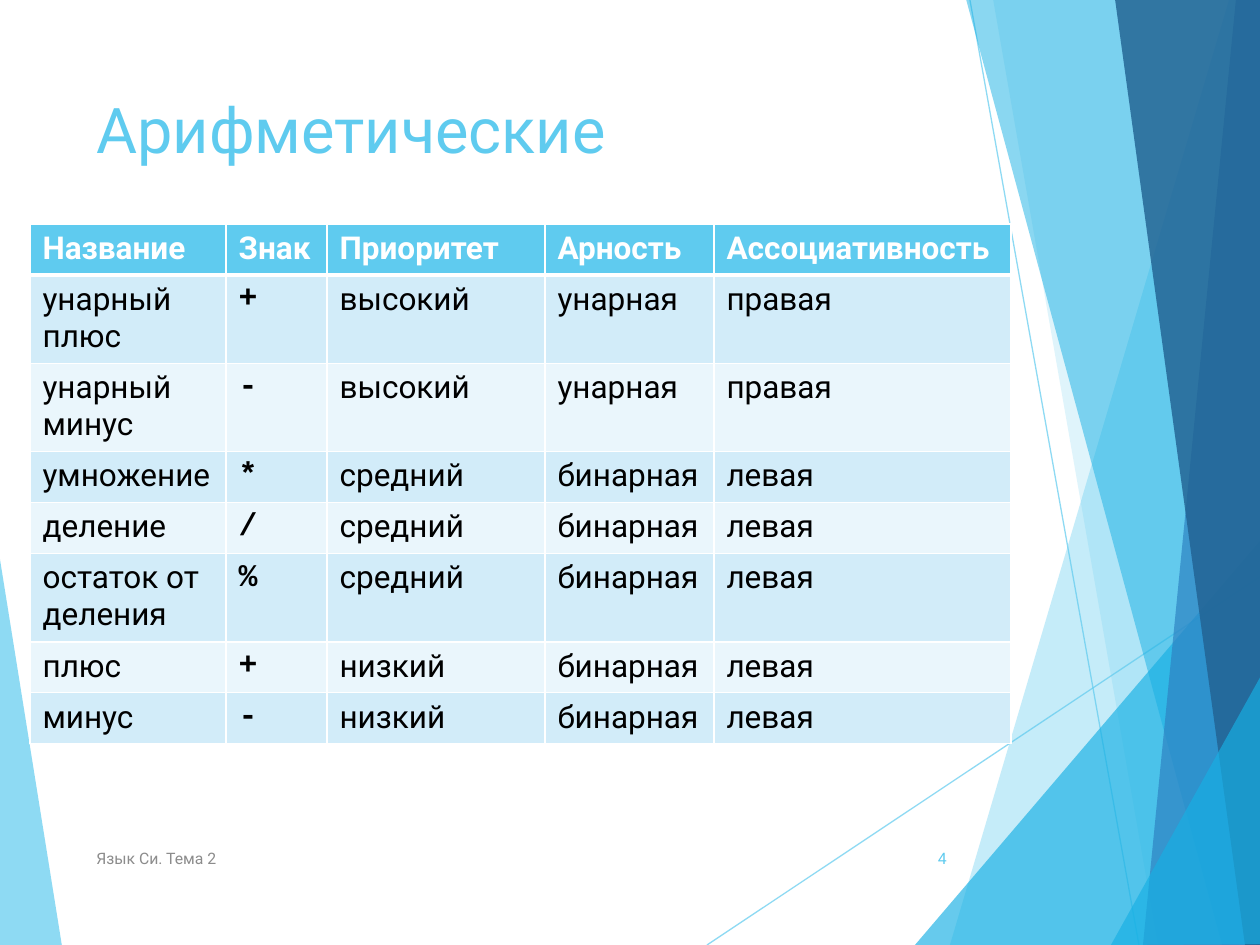
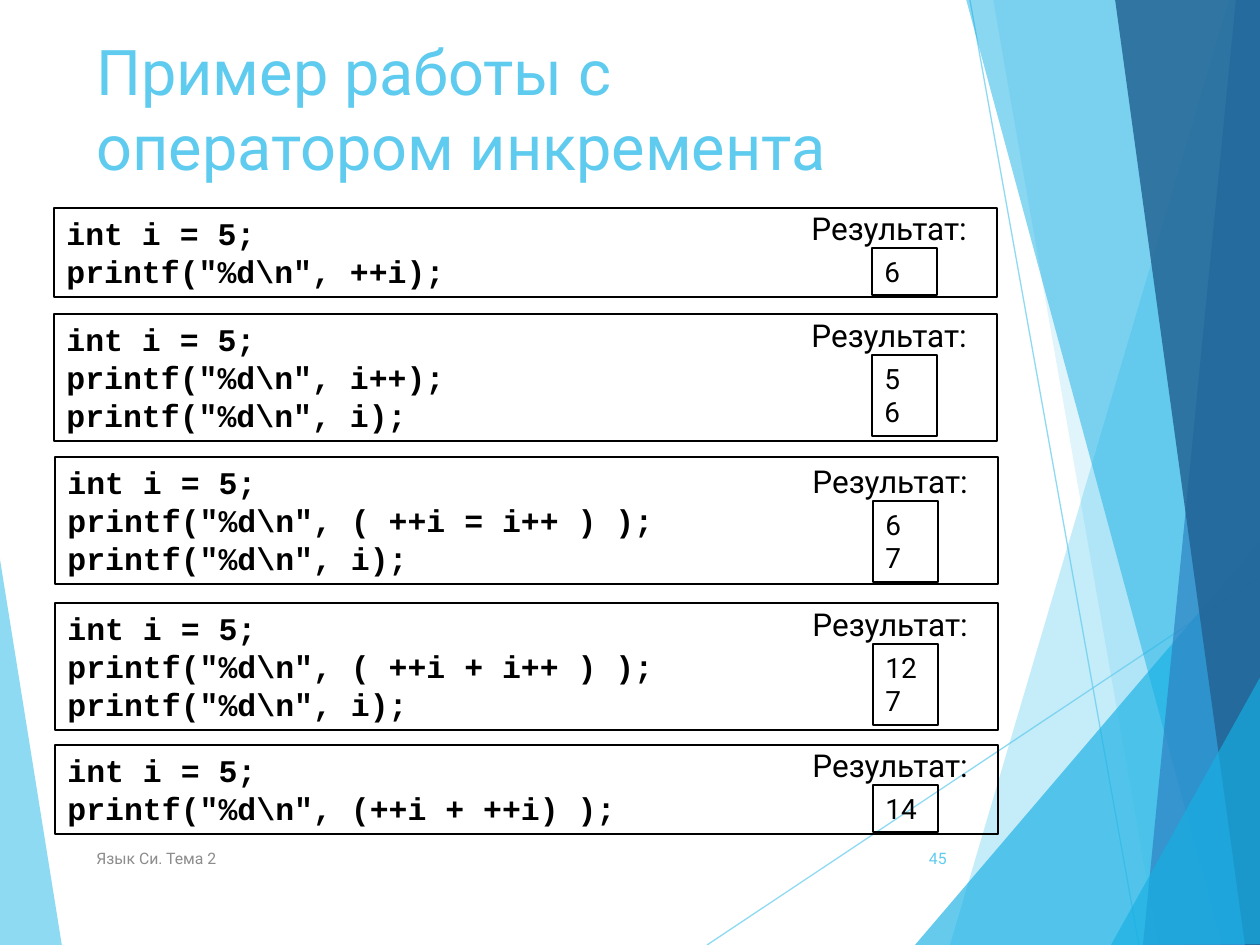
"""Build two slides on C operators: an operator table and increment examples."""
from lxml.etree import SubElement
from pptx import Presentation
from pptx.dml.color import RGBColor
from pptx.enum.shapes import MSO_CONNECTOR
from pptx.enum.text import MSO_ANCHOR, PP_ALIGN
from pptx.oxml.ns import qn
from pptx.util import Emu, Pt

LEFT, RIGHT = PP_ALIGN.LEFT, PP_ALIGN.RIGHT
TOP, MIDDLE = MSO_ANCHOR.TOP, MSO_ANCHOR.MIDDLE
STRAIGHT = MSO_CONNECTOR.STRAIGHT
SCALE = 914400 / 126
SANS, MONO = "Roboto", "Courier New"
SKY, CYAN, BLUE, NAVY = "5FCBEF", "17B0E4", "2E83C3", "226292"
BLACK, WHITE, GRAY = "000000", "FFFFFF", "8C8C8C"
BANDS = ["EAF6FC", "D2ECF9"]
hue = RGBColor.from_string

RAYS = [(707, 945, 1261, 576), (970, 0, 1139, 945)]
SHARDS = [
    (SKY, 70, [(-1, 553), (62, 946), (-1, 945)]),
    (SKY, 36, [(1229, 0), (950, 945), (1262, 946), (1262, 0)]),
    (SKY, 20, [(993, -1), (1158, 945), (1261, 945), (1261, -1)]),
    (CYAN, 66, [(915, 945), (1260, 541), (1261, 945)]),
    (CYAN, 50, [(966, -1), (1222, 945), (1261, 944), (1261, -1)]),
    (BLUE, 70, [(1236, -1), (1143, 945), (1261, 945), (1260, -1)]),
    (NAVY, 82, [(1115, -1), (1245, 945), (1262, 945), (1260, -1)]),
    (CYAN, 66, [(1111, 945), (1262, 674), (1262, 944)]),
]
PAGES = [
    ("Арифметические", 84, "4"),
    ("Пример работы с оператором инкремента", 26, "45"),
]
HEAD = ["Название", "Знак", "Приоритет", "Арность", "Ассоциативность"]
ROWS = [
    HEAD,
    ["унарный плюс", "+", "высокий", "унарная", "правая"],
    ["унарный минус", "-", "высокий", "унарная", "правая"],
    ["умножение", "*", "средний", "бинарная", "левая"],
    ["деление", "/", "средний", "бинарная", "левая"],
    ["остаток от деления", "%", "средний", "бинарная", "левая"],
    ["плюс", "+", "низкий", "бинарная", "левая"],
    ["минус", "-", "низкий", "бинарная", "левая"],
]
WIDTHS = [196, 101, 218, 169, 297]
START = "int i = 5;"
SHOW = 'printf("%d\\n", i);'
CASES = [
    (54, 208, 40, [START, 'printf("%d\\n", ++i);'], ["6"]),
    (54, 314, 41, [START, 'printf("%d\\n", i++);', SHOW], ["5", "6"]),
    (55, 457, 44, [START, 'printf("%d\\n", ( ++i = i++ ) );', SHOW], ["6", "7"]),
    (55, 603, 41, [START, 'printf("%d\\n", ( ++i + i++ ) );', SHOW], ["12", "7"]),
    (55, 745, 40, [START, 'printf("%d\\n", (++i + ++i) );'], ["14"]),
]


def fade(part, alpha):
    for tone in part.iter(qn("a:srgbClr")):
        SubElement(tone, qn("a:alpha"), val=str(alpha * 1000))


def write(slide, box, lines, size, color, font=SANS, bold=False,
          align=LEFT, anchor=TOP, edge=False):
    shape = slide.shapes.add_textbox(*[Emu(round(v * SCALE)) for v in box])
    if edge:
        shape.line.color.rgb = hue(BLACK)
        shape.line.width = Pt(0.75)
    frame = shape.text_frame
    frame.word_wrap = True
    frame.vertical_anchor = anchor
    for i, line in enumerate(lines):
        para = frame.add_paragraph() if i else frame.paragraphs[0]
        para.alignment = align
        run = para.add_run()
        run.text = line
        run.font.name = font
        run.font.size = Pt(size)
        run.font.bold = bold
        run.font.color.rgb = hue(color)


deck = Presentation()
deck.slide_width = Emu(round(1260 * SCALE))
deck.slide_height = Emu(round(945 * SCALE))

slides = []
for title, top, page in PAGES:
    slide = deck.slides.add_slide(deck.slide_layouts[6])
    slides.append(slide)
    for ends in RAYS:
        ray = slide.shapes.add_connector(
            STRAIGHT, *[Emu(round(v * SCALE)) for v in ends])
        ray.line.color.rgb = hue(SKY)
        ray.line.width = Pt(0.75)
        fade(ray._element.spPr, 70)
        SubElement(ray._element.spPr, qn("a:effectLst"))
    for color, alpha, points in SHARDS:
        path = slide.shapes.build_freeform(*points[0], scale=SCALE)
        path.add_line_segments(points[1:], close=True)
        shard = path.convert_to_shape()
        shard.fill.solid()
        shard.fill.fore_color.rgb = hue(color)
        shard.line.fill.background()
        shard.shadow.inherit = False
        fade(shard._element.spPr, alpha)
    write(slide, (84, top, 874, 181), [title], 36, SKY)
    write(slide, (84, 833, 638, 50), ["Язык Си. Тема 2"], 9, GRAY, anchor=MIDDLE)
    write(slide, (888, 833, 71, 50), [page], 9, SKY, align=RIGHT, anchor=MIDDLE)

box = (30, 224, sum(WIDTHS), 51 * len(ROWS))
grid = slides[0].shapes.add_table(
    len(ROWS), len(HEAD), *[Emu(round(v * SCALE)) for v in box]).table
for col, width in zip(grid.columns, WIDTHS):
    col.width = Emu(round(width * SCALE))
for r, row in enumerate(ROWS):
    grid.rows[r].height = Emu(round(51 * SCALE))
    for c, text in enumerate(row):
        cell = grid.cell(r, c)
        props = cell._tc.get_or_add_tcPr()
        for side in "LRTB":
            thick = (r, side) in [(0, "B"), (1, "T")]
            rim = SubElement(props, qn("a:ln" + side), w=str(Pt(3 if thick else 1)))
            ink = SubElement(rim, qn("a:solidFill"))
            SubElement(ink, qn("a:srgbClr"), val=WHITE)
        cell.fill.solid()
        cell.fill.fore_color.rgb = hue(BANDS[r % 2] if r else SKY)
        run = cell.text_frame.paragraphs[0].add_run()
        run.text = text
        sign = r > 0 and c == 1
        run.font.name = MONO if sign else SANS
        run.font.size = Pt(18)
        run.font.bold = sign or r == 0
        run.font.color.rgb = hue(BLACK if r else WHITE)

for left, top, drop, code, result in CASES:
    low = top + drop
    write(slides[1], (left, top, 943, 13 + 38 * len(code)), code, 18, BLACK,
          font=MONO, bold=True, edge=True)
    write(slides[1], (left + 818, low, 65, 13 + 34 * len(result)), result, 16,
          BLACK, edge=True)
    write(slides[1], (left + 745, low - 45, 208, 50), ["Результат:"], 18, BLACK)

deck.save("out.pptx")
